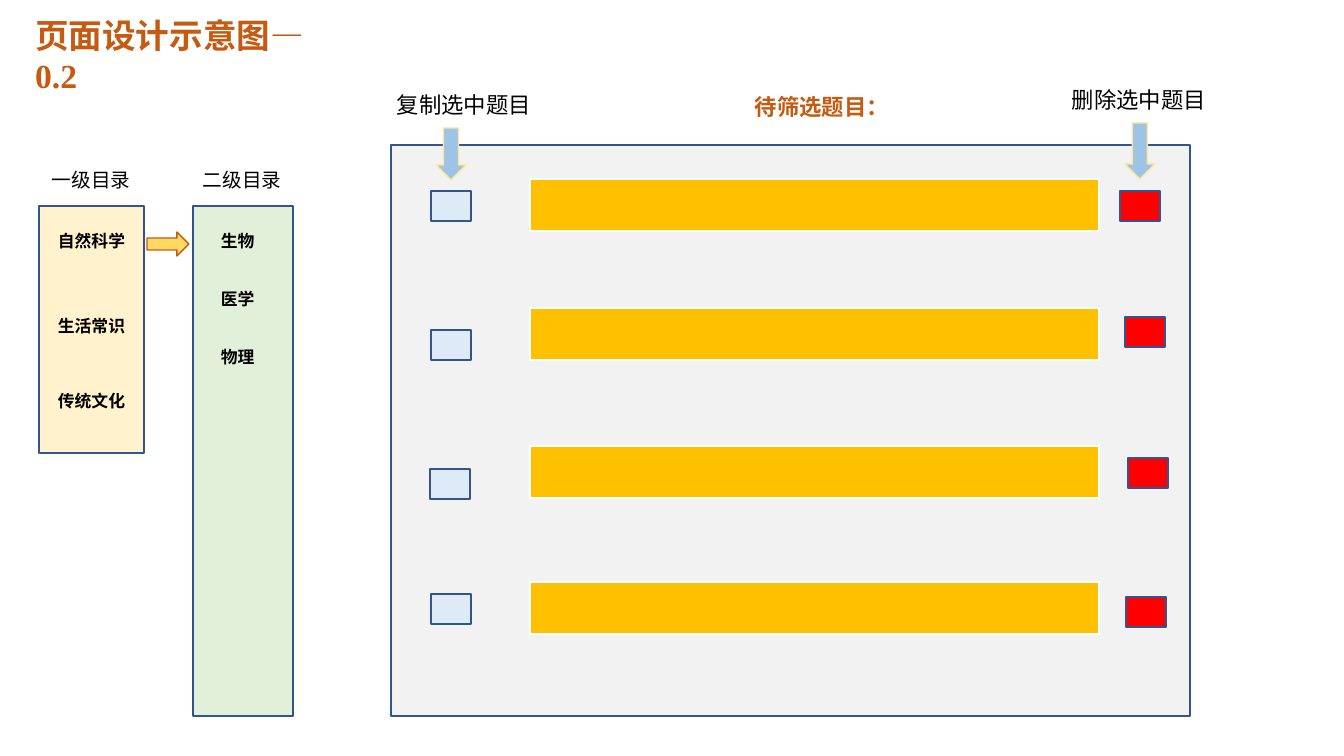
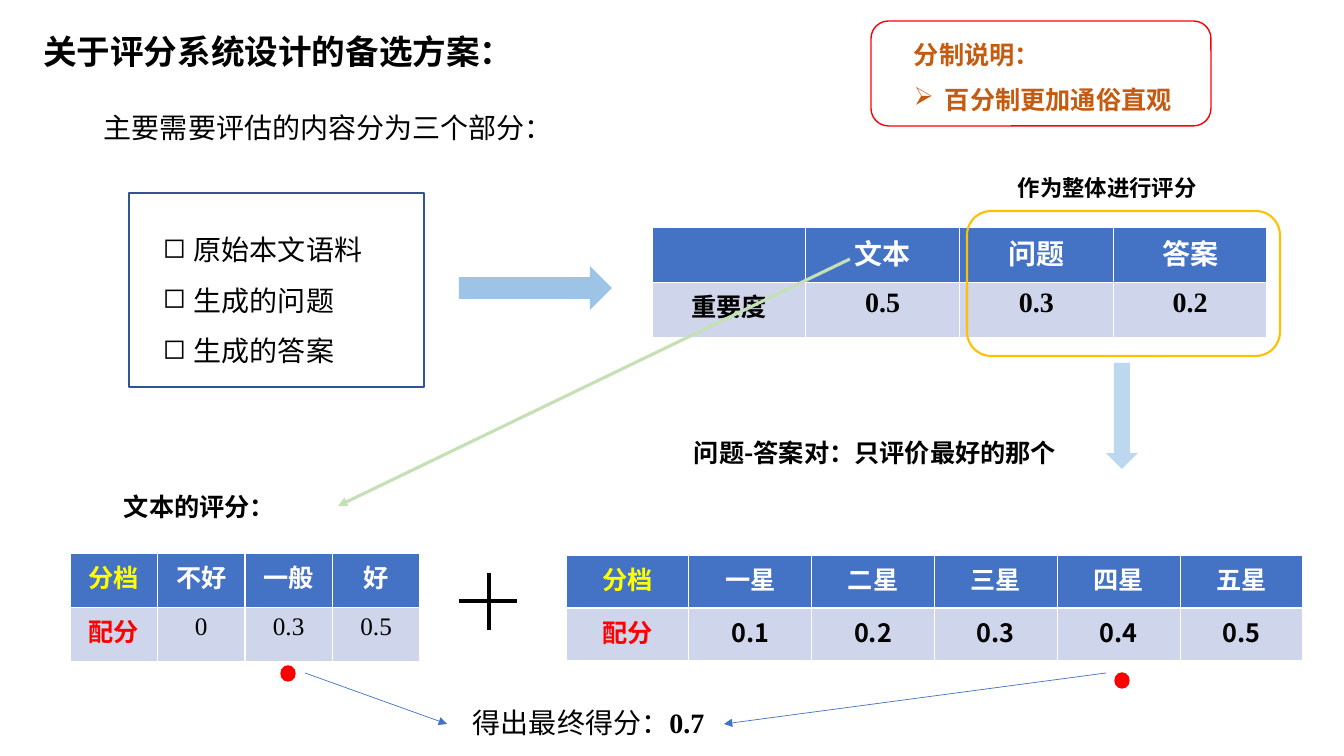
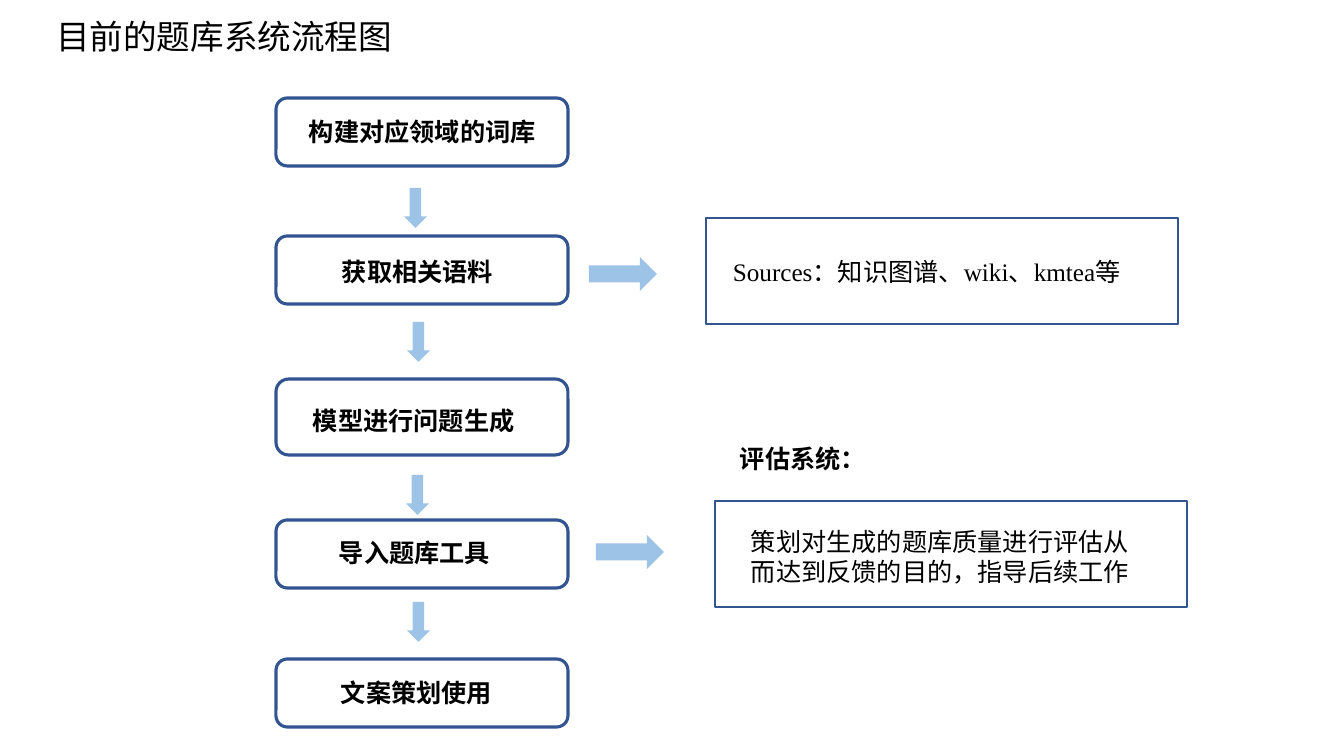
from dataclasses import dataclass
from typing import NamedTuple, Optional

from lxml.etree import SubElement
from pptx import Presentation
from pptx.dml.color import RGBColor
from pptx.enum.shapes import MSO_CONNECTOR as Connector, MSO_SHAPE as Preset
from pptx.enum.text import MSO_ANCHOR as Anchor, MSO_AUTO_SIZE as AutoSize, PP_ALIGN as Align
from pptx.oxml.ns import qn
from pptx.util import Emu, Pt

# Scale: 100.8 pixels to the inch
EMU_PER_PIXEL = 914400 / 100.8
SLIDE_SIZE = (1344, 756)

# Fonts
SANS = "Noto Sans CJK SC"
SERIF = "Times New Roman"

# Colours
BLACK = RGBColor(0x00, 0x00, 0x00)
WHITE = RGBColor(0xFF, 0xFF, 0xFF)
RED = RGBColor(0xFF, 0x00, 0x00)
YELLOW = RGBColor(0xFF, 0xFF, 0x00)
RUST = RGBColor(0xC5, 0x5A, 0x11)
NAVY = RGBColor(0x32, 0x54, 0x91)
BLUE = RGBColor(0x44, 0x72, 0xC4)
SKY = RGBColor(0x9D, 0xC3, 0xE6)
LIGHT_SKY = RGBColor(0xBD, 0xD7, 0xEE)
PALE_BLUE = RGBColor(0xDE, 0xEB, 0xF7)
ROW_BLUE = RGBColor(0xCF, 0xD5, 0xEA)
GOLD = RGBColor(0xFF, 0xC0, 0x00)
LIGHT_GOLD = RGBColor(0xFF, 0xD9, 0x66)
SAND = RGBColor(0xFF, 0xE6, 0x99)
CREAM = RGBColor(0xFF, 0xF2, 0xCC)
LEAF = RGBColor(0xC5, 0xE0, 0xB4)
PALE_GREEN = RGBColor(0xE2, 0xF0, 0xD9)
GREY = RGBColor(0xF2, 0xF2, 0xF2)


class Area(NamedTuple):
    left: int
    top: int
    width: int
    height: int


class Style(NamedTuple):
    size: int
    bold: bool = False
    color: RGBColor = BLACK
    font: str = SANS


class Run(NamedTuple):
    text: str
    style: Style


@dataclass(frozen=True)
class Line:
    runs: tuple[Run, ...]
    spacing: Optional[float] = None
    bullet: str = ""


@dataclass(frozen=True)
class Label:
    area: Area
    lines: tuple[Line, ...]
    wrap: bool = False


@dataclass(frozen=True)
class Figure:
    preset: Preset
    area: Area
    fill: Optional[RGBColor] = None
    line: Optional[RGBColor] = None
    weight: float = 1


@dataclass(frozen=True)
class Link:
    start: tuple[int, int]
    end: tuple[int, int]
    color: RGBColor
    weight: float
    arrow: bool = True


@dataclass(frozen=True)
class Grid:
    area: Area
    rows: tuple[tuple[Run, ...], ...]


def px(length: float) -> Emu:
    return Emu(round(length * EMU_PER_PIXEL))


def label(text: str, area: Area, style: Style, wrap: bool = False) -> Label:
    return Label(area, (Line((Run(text, style),)),), wrap)


def row(head: Run, texts: tuple[str, ...], style: Style) -> tuple[Run, ...]:
    return (head, *(Run(text, style) for text in texts))


# Drawing functions
def add_run(paragraph, text: str, style: Style) -> None:
    run = paragraph.add_run()
    run.text = text
    run.font.size = Pt(style.size)
    run.font.bold = style.bold
    run.font.color.rgb = style.color
    run.font.name = style.font
    SubElement(run._r.get_or_add_rPr(), qn("a:ea"), typeface=SANS)


def add_bullet(paragraph, character: str) -> None:
    properties = paragraph._p.get_or_add_pPr()
    properties.set("marL", str(px(31)))
    properties.set("indent", str(-px(31)))
    SubElement(properties, qn("a:buChar"), char=character)


def place(shape, area: Area) -> None:
    shape.left, shape.top, shape.width, shape.height = map(px, area)


def add_title(presentation, text: str, area: Area, style: Style, right_margin: int = 10):
    slide = presentation.slides.add_slide(presentation.slide_layouts[5])
    title = slide.shapes.title
    place(title, area)
    frame = title.text_frame
    frame.auto_size = AutoSize.NONE
    frame.word_wrap = True
    frame.vertical_anchor = Anchor.TOP
    frame.margin_right = px(right_margin)
    paragraph = frame.paragraphs[0]
    paragraph.alignment = Align.LEFT
    add_run(paragraph, text, style)
    return slide


def add_label(slide, item: Label) -> None:
    frame = slide.shapes.add_textbox(*map(px, item.area)).text_frame
    frame.word_wrap = item.wrap
    for index, line in enumerate(item.lines):
        paragraph = frame.add_paragraph() if index else frame.paragraphs[0]
        if line.spacing:
            paragraph.line_spacing = line.spacing
        if line.bullet:
            add_bullet(paragraph, line.bullet)
        for run in line.runs:
            add_run(paragraph, run.text, run.style)


def add_figure(slide, item: Figure) -> None:
    shape = slide.shapes.add_shape(item.preset, *map(px, item.area))
    shape.shadow.inherit = False
    if item.fill is None:
        shape.fill.background()
    else:
        shape.fill.solid()
        shape.fill.fore_color.rgb = item.fill
    if item.line is None:
        shape.line.fill.background()
    else:
        shape.line.color.rgb = item.line
        shape.line.width = Pt(item.weight)


def add_link(slide, item: Link) -> None:
    connector = slide.shapes.add_connector(
        Connector.STRAIGHT, *map(px, item.start + item.end))
    connector.line.color.rgb = item.color
    connector.line.width = Pt(item.weight)
    properties = connector._element.spPr
    if item.arrow:
        SubElement(properties.find(qn("a:ln")), qn("a:tailEnd"), type="triangle")
    SubElement(properties, qn("a:effectLst"))


def add_grid(slide, item: Grid) -> None:
    row_count, column_count = len(item.rows), len(item.rows[0])
    table = slide.shapes.add_table(row_count, column_count, *map(px, item.area)).table
    for column in table.columns:
        column.width = px(item.area.width / column_count)
    for row_index, runs in enumerate(item.rows):
        table.rows[row_index].height = px(item.area.height / row_count)
        for column_index, run in enumerate(runs):
            cell = table.cell(row_index, column_index)
            cell.fill.solid()
            cell.fill.fore_color.rgb = ROW_BLUE if row_index else BLUE
            paragraph = cell.text_frame.paragraphs[0]
            paragraph.alignment = Align.CENTER
            if run.text:
                add_run(paragraph, run.text, run.style)


def draw(slide, items) -> None:
    painters = {Label: add_label, Figure: add_figure, Link: add_link, Grid: add_grid}
    for item in items:
        painters[type(item)](slide, item)


# Shared text styles
HEADING = Style(24)
BODY = Style(20)
BOLD = Style(18, True)
SMALL_BOLD = Style(12, True)
CAPTION = Style(14)
ACTION = Style(16)


def build_page_design(presentation) -> None:
    slide = add_title(presentation, "页面设计示意图—0.2", Area(25, 10, 335, 50),
                      Style(24, True, RUST, SERIF), right_margin=40)
    # Two directory columns
    draw(slide, [
        Figure(Preset.RECTANGLE, Area(39, 206, 105, 247), CREAM, NAVY),
        Figure(Preset.RECTANGLE, Area(193, 206, 100, 510), PALE_GREEN, NAVY),
        Figure(Preset.RIGHT_ARROW, Area(147, 232, 42, 24), LIGHT_GOLD, RUST),
        label("二级目录", Area(193, 163, 100, 34), CAPTION),
        label("一级目录", Area(42, 163, 100, 34), CAPTION),
    ])
    for text, top in (("自然科学", 226), ("生活常识", 311), ("传统文化", 386)):
        add_label(slide, label(text, Area(48, top, 89, 30), SMALL_BOLD))
    for index, text in enumerate(("生物", "医学", "物理")):
        add_label(slide, label(text, Area(211, 226 + 58 * index, 54, 30), SMALL_BOLD))

    # Question panel: bars with a copy box and a delete box each
    add_figure(slide, Figure(Preset.RECTANGLE, Area(391, 145, 799, 571), GREY, NAVY))
    for top in (179, 308, 446, 582):
        add_figure(slide, Figure(Preset.RECTANGLE, Area(530, top, 569, 52), GOLD, WHITE))
    button_sets = (
        (PALE_BLUE, ((431, 191), (431, 330), (430, 469), (431, 594))),
        (RED, ((1120, 191), (1125, 317), (1128, 458), (1126, 597))),
    )
    for color, corners in button_sets:
        for left, top in corners:
            add_figure(slide, Figure(Preset.RECTANGLE, Area(left, top, 40, 30), color, NAVY))

    # Headings above the panel
    draw(slide, [
        label("待筛选题目：", Area(745, 88, 157, 37), Style(16, True, RUST)),
        Figure(Preset.DOWN_ARROW, Area(436, 128, 30, 52), SKY, SAND),
        Figure(Preset.DOWN_ARROW, Area(1125, 123, 30, 56), SKY, SAND),
        label("复制选中题目", Area(387, 86, 156, 37), ACTION),
        label("删除选中题目", Area(1062, 81, 156, 37), ACTION),
    ])


def build_scoring(presentation) -> None:
    slide = add_title(presentation, "关于评分系统设计的备选方案：",
                      Area(33, 26, 493, 50), Style(24, True))
    # Contents to assess
    contents = tuple(Line((Run(text, BODY),), 1.5, "◻")
                     for text in ("原始本文语料", "生成的问题", "生成的答案"))
    draw(slide, [
        label("主要需要评估的内容分为三个部分：", Area(94, 106, 473, 44), BODY),
        Label(Area(153, 211, 222, 155), contents),
        Figure(Preset.RECTANGLE, Area(129, 193, 295, 194), line=NAVY),
        Figure(Preset.RIGHT_ARROW, Area(459, 266, 153, 44), SKY),
    ])

    # Weight table and the two grade tables
    grade_head = Run("分档", Style(18, True, YELLOW))
    grade_head_serif = Run("分档", Style(18, True, YELLOW, SERIF))
    score_head = Run("配分", Style(18, True, RED))
    score_head_serif = Run("配分", Style(18, True, RED, SERIF))
    white_bold = Style(18, True, WHITE)
    draw(slide, [
        Grid(Area(652, 227, 615, 111), (
            row(Run("", BOLD), ("文本", "问题", "答案"), Style(20, True, WHITE)),
            row(Run("重要度", BOLD), ("0.5", "0.3", "0.2"), Style(20, True, font=SERIF)),
        )),
        Link((850, 259), (338, 506), LEAF, 2.25),
        Grid(Area(70, 553, 350, 109), (
            row(grade_head_serif, ("不好", "一般", "好"), Style(18, True, WHITE, SERIF)),
            row(score_head_serif, ("0", "0.3", "0.5"), Style(18, font=SERIF)),
        )),
        Grid(Area(566, 555, 737, 106), (
            row(grade_head, ("一星", "二星", "三星", "四星", "五星"), white_bold),
            row(score_head, ("0.1", "0.2", "0.3", "0.4", "0.5"), BOLD),
        )),
    ])

    # Table captions and the question-answer group
    draw(slide, [
        label("文本的评分：", Area(114, 486, 174, 40), BOLD),
        Figure(Preset.ROUNDED_RECTANGLE, Area(967, 211, 313, 145), line=GOLD, weight=1.5),
        Figure(Preset.DOWN_ARROW, Area(1106, 363, 32, 106), LIGHT_SKY),
        label("问题-答案对：只评价最好的那个", Area(684, 432, 389, 40), BOLD, wrap=True),
        label("作为整体进行评分", Area(1008, 169, 203, 37), Style(16, True)),
    ])

    # Note on the scale
    note_style = Style(18, True, RUST)
    draw(slide, [
        Label(Area(904, 19, 283, 95), (
            Line((Run("分制说明：", note_style),), 1.5),
            Line((Run("百分制更加通俗直观", note_style),), 1.5, "➢"),
        )),
        Figure(Preset.ROUNDED_RECTANGLE, Area(871, 21, 340, 105), line=RED),
    ])

    # Plus sign and final score
    draw(slide, [
        Link((489, 573), (489, 630), BLACK, 2.25, arrow=False),
        Link((517, 601), (459, 601), BLACK, 2.25, arrow=False),
        Link((305, 673), (447, 724), BLUE, 0.5),
        Link((1106, 673), (724, 724), BLUE, 0.5),
        Label(Area(463, 701, 261, 44), (
            Line((Run("得出最终得分：", BODY), Run("0.7", Style(20, True, font=SERIF)))),
        )),
        Figure(Preset.OVAL, Area(281, 666, 14, 15), RED, RED),
        Figure(Preset.OVAL, Area(1115, 673, 14, 15), RED, RED),
    ])


def build_flow(presentation) -> None:
    slide = add_title(presentation, "目前的题库系统流程图", Area(46, 11, 360, 50), HEADING)
    # Steps: box top and height, then the text and its area
    steps = (
        (98, 68, "构建对应领域的词库", Area(299, 111, 249, 40)),
        (236, 68, "获取相关语料", Area(332, 251, 173, 40)),
        (379, 76, "模型进行问题生成", Area(303, 400, 224, 40)),
        (520, 68, "导入题库工具", Area(329, 532, 173, 40)),
        (659, 68, "文案策划使用", Area(331, 672, 173, 40)),
    )
    for top, height, text, text_area in steps:
        add_figure(slide, Figure(Preset.ROUNDED_RECTANGLE, Area(276, top, 292, height),
                                 line=NAVY, weight=2.25))
        add_label(slide, label(text, text_area, BOLD))

    # Arrows between steps and towards the remarks
    for left, top in ((404, 188), (407, 322), (406, 475), (407, 602)):
        add_figure(slide, Figure(Preset.DOWN_ARROW, Area(left, top, 23, 40), SKY))
    for left, top in ((589, 257), (596, 535)):
        add_figure(slide, Figure(Preset.RIGHT_ARROW, Area(left, top, 68, 34), SKY))

    # Remarks
    remark = Style(18, font=SERIF)
    for left, top in ((706, 218), (715, 501)):
        add_figure(slide, Figure(Preset.RECTANGLE, Area(left, top, 472, 106), line=NAVY))
    purpose = ("策划对生成的题库质量进行评估从", "而达到反馈的目的，指导后续工作")
    draw(slide, [
        label("Sources：知识图谱、wiki、kmtea等", Area(723, 251, 417, 40), remark, wrap=True),
        Label(Area(741, 521, 402, 72), tuple(Line((Run(text, remark),)) for text in purpose)),
        label("评估系统：", Area(730, 438, 148, 40), BOLD),
    ])


def main() -> None:
    presentation = Presentation()
    presentation.slide_width, presentation.slide_height = map(px, SLIDE_SIZE)
    build_page_design(presentation)
    build_scoring(presentation)
    build_flow(presentation)
    presentation.save("out.pptx")


main()
